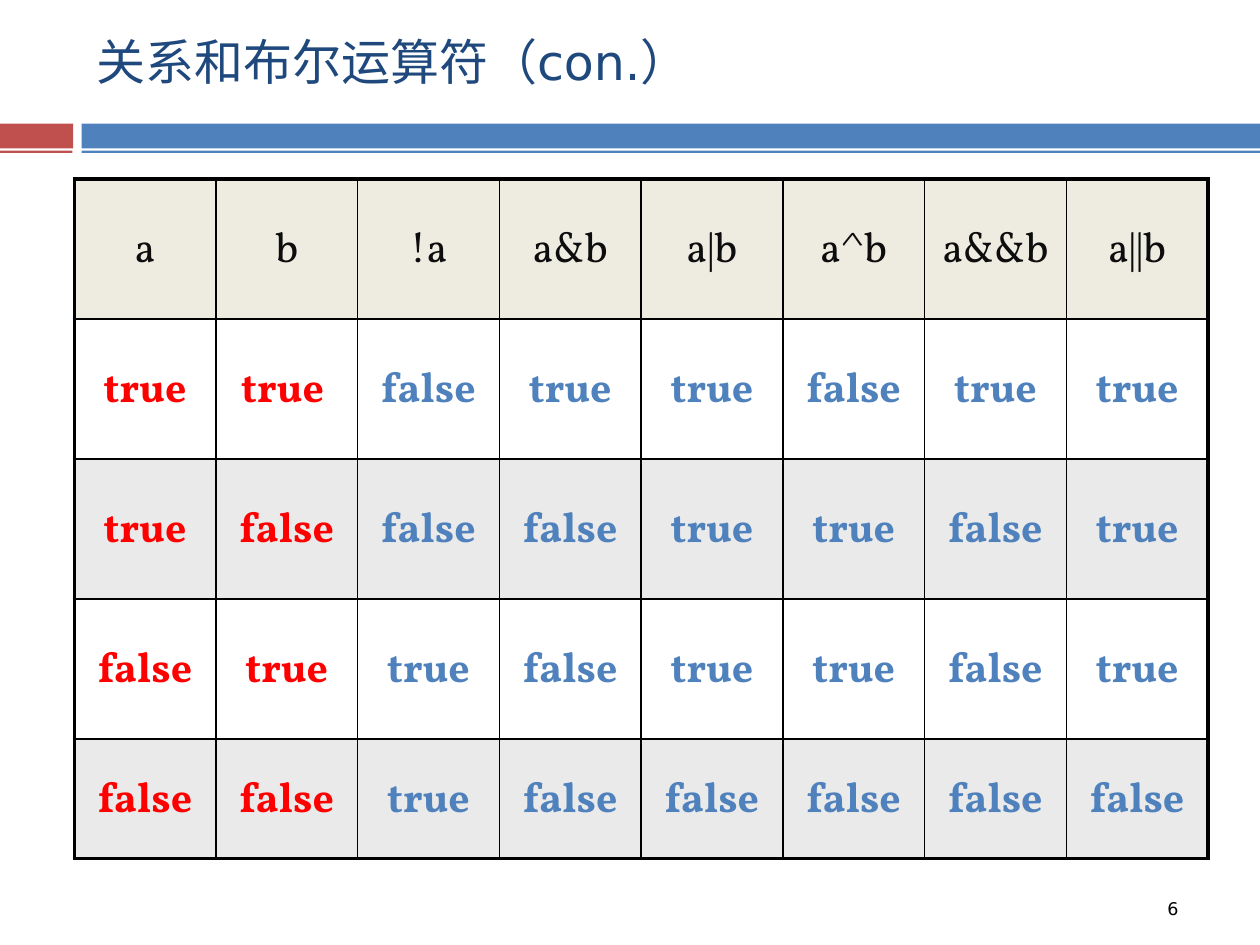
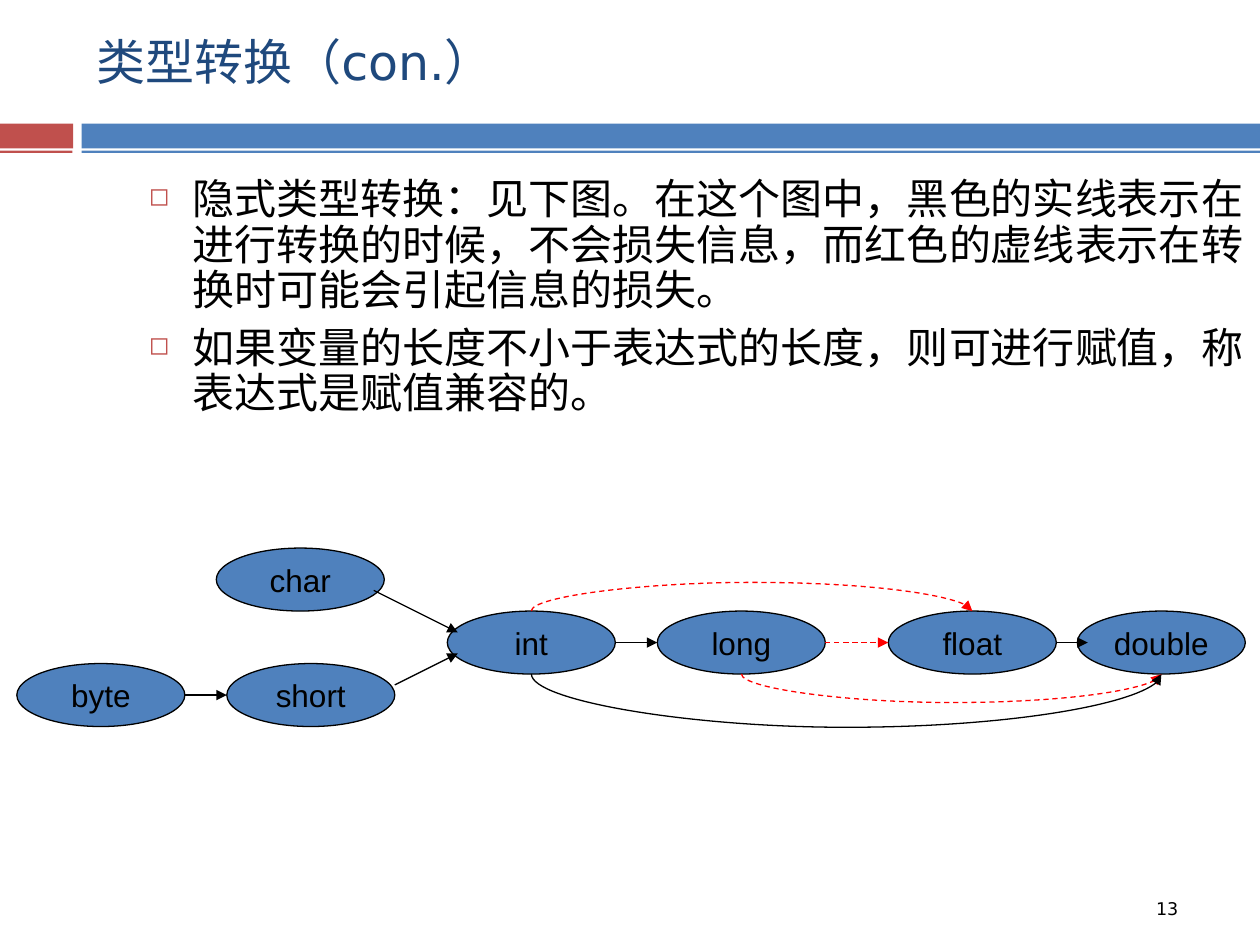
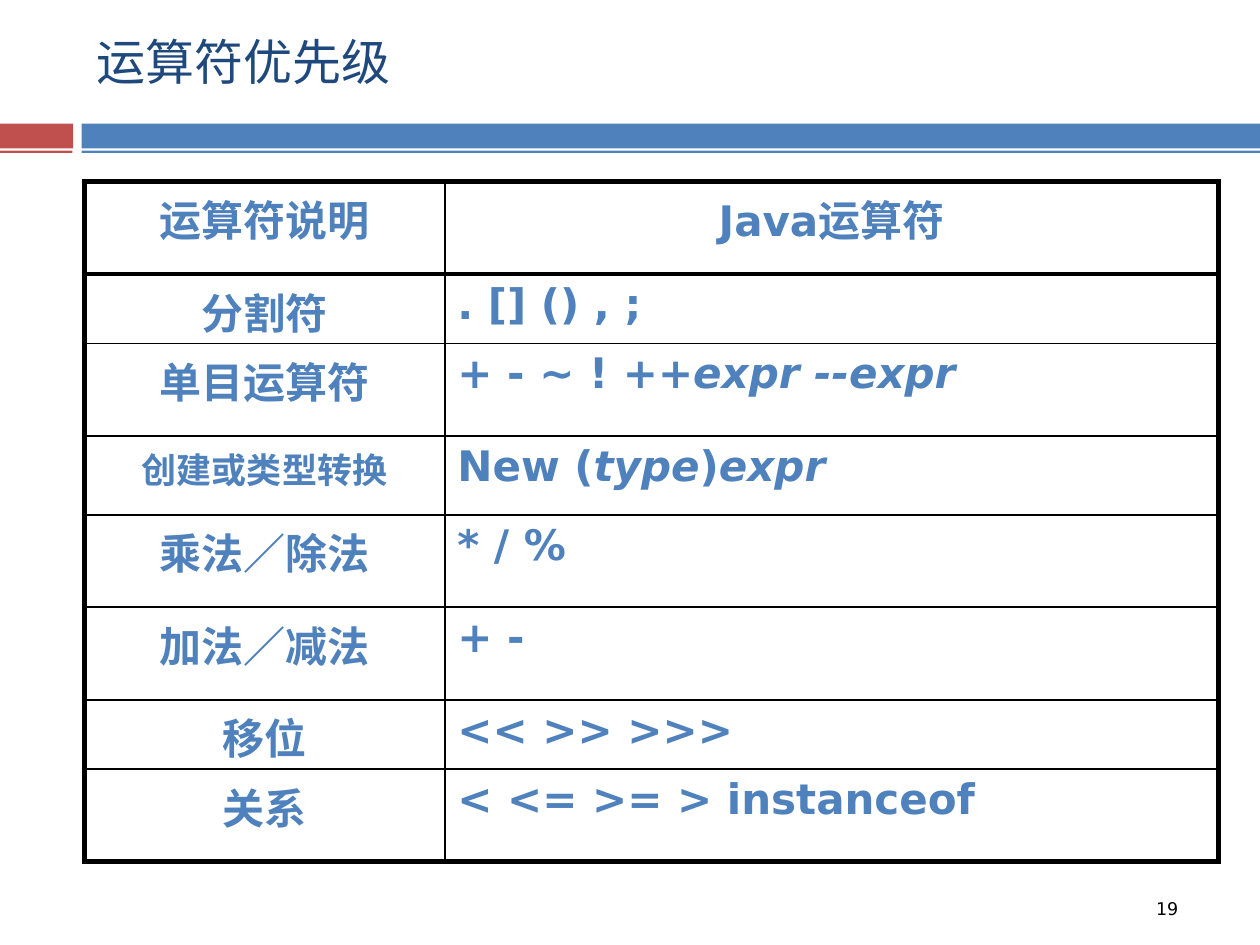
from dataclasses import dataclass
from lxml.etree import SubElement
from pptx import Presentation
from pptx.dml.color import RGBColor
from pptx.enum.dml import MSO_LINE
from pptx.enum.shapes import MSO_CONNECTOR, MSO_SHAPE
from pptx.enum.text import MSO_ANCHOR, PP_ALIGN
from pptx.oxml.ns import qn
from pptx.util import Pt

BLACK, RED, BLUE, BRICK = "000000", "FF0000", "4F81BD", "C0504D"
NAVY, INK, CREAM, GREY = "1F497D", "0D0D0D", "EEECE1", "EAEAEA"
SANS, SERIF, ARIAL = "DejaVu Sans", "Vollkorn", "Arial"
PAGE_WIDTH, PAGE_HEIGHT = 720, 540
NODE_WIDTH, NODE_HEIGHT = 96, 36
CURVE_THICKNESS = 0.125
TOP_SITE, BOTTOM_SITE = 0, 4


@dataclass(frozen=True)
class Style:
    font: str
    size: float
    color: str
    bold: bool = False
    italic: bool = False


@dataclass(frozen=True)
class Band:
    left: float
    top: float
    width: float
    height: float
    color: str


@dataclass(frozen=True)
class Node:
    name: str
    left: float
    top: float


@dataclass(frozen=True)
class Arrow:
    start: tuple[float, float]
    end: tuple[float, float]
    color: str = BLACK
    dashed: bool = False


@dataclass(frozen=True)
class Curve:
    start: str
    end: str
    site: int
    reach: float
    color: str = BLACK
    dashed: bool = False


BANDS = [
    Band(0, 70.6, 41.8, 14.2, BRICK),
    Band(46.6, 70.6, 673.4, 14.2, BLUE),
    Band(-0.4, 86, 41.8, 1.4, BRICK),
    Band(46.6, 86, 673.4, 1.4, BLUE),
]
TITLE = Style(SANS, 28, NAVY)
FOOTER = Style(SANS, 10, BLACK)
BODY = Style(SANS, 24, BLACK)
NODE_LABEL = Style(ARIAL, 18, BLACK)
TRUTH_HEADER = Style(SERIF, 24, INK)
TRUTH_INPUT = Style(SERIF, 24, RED, bold=True)
TRUTH_RESULT = Style(SERIF, 24, BLUE, bold=True)
OPERATOR = Style(SANS, 24, BLUE, bold=True)
OPERATOR_SMALL = Style(SANS, 20, BLUE, bold=True)
OPERATOR_ITALIC = Style(SANS, 24, BLUE, bold=True, italic=True)

TRUTH_ROWS = [
    ["a", "b", "!a", "a&b", "a|b", "a^b", "a&&b", "a||b"],
    ["true", "true ", "false", "true", "true", "false", "true", "true"],
    ["true", "false", "false", "false", "true", "true", "false", "true"],
    ["false", "true", "true", "false", "true", "true", "false", "true"],
    ["false", "false", "true", "false", "false", "false", "false", "false"],
]
TRUTH_HEIGHTS = [80, 80, 80, 80, 68.4]

OPERATOR_ROWS = [
    ("运算符说明", [("Java运算符", OPERATOR)]),
    ("分割符", [(". [] () , ;", OPERATOR)]),
    ("单目运算符", [("+ - ~ ! ++", OPERATOR), ("expr --expr", OPERATOR_ITALIC)]),
    ("创建或类型转换", [("New (", OPERATOR), ("type", OPERATOR_ITALIC),
                 (")", OPERATOR), ("expr", OPERATOR_ITALIC)]),
    ("乘法／除法", [("* / %", OPERATOR)]),
    ("加法／减法", [("+ -", OPERATOR)]),
    ("移位", [("<< >> >>>", OPERATOR)]),
    ("关系", [("< <= >= > instanceof", OPERATOR)]),
]
OPERATOR_HEIGHTS = [52.8, 39.6, 53, 45, 52.8, 53, 39.6, 52.8]

BODY_TEXTS = [
    "隐式类型转换：见下图。在这个图中，黑色的实线表示在进行转换的时候，不会损失信息，"
    "而红色的虚线表示在转换时可能会引起信息的损失。",
    "如果变量的长度不小于表达式的长度，则可进行赋值，称表达式是赋值兼容的。",
]

NODES = [
    Node("byte", 9.6, 379.2),
    Node("short", 129.6, 379.2),
    Node("char", 123.6, 313.2),
    Node("int", 255.6, 349.2),
    Node("long", 375.6, 349.2),
    Node("float", 507.6, 349.2),
    Node("double", 615.6, 349.2),
]
ARROWS = [
    Arrow((105.6, 397.2), (129.6, 397.2)),
    Arrow((213.6, 337.4), (261.6, 361.4)),
    Arrow((225.6, 391.4), (261.6, 373.4)),
    Arrow((351.6, 367.2), (375.6, 367.2)),
    Arrow((471.6, 367.2), (507.6, 367.2), RED, True),
    Arrow((603.6, 367.2), (621.6, 367.2)),
]
CURVES = [
    Curve("int", "float", TOP_SITE, -18, RED, True),
    Curve("long", "double", BOTTOM_SITE, 18, RED, True),
    Curve("int", "double", BOTTOM_SITE, 33.6),
]


def rgb(code: str) -> RGBColor:
    return RGBColor.from_string(code)


def add_span(para, text: str, style: Style) -> None:
    span = para.add_run()
    span.text = text
    font = span.font
    font.name, font.size = style.font, Pt(style.size)
    font.bold, font.italic = style.bold, style.italic
    font.color.rgb = rgb(style.color)


def add_box(page, left: float, top: float, width: float, height: float, wrap: bool = True):
    box = page.shapes.add_textbox(Pt(left), Pt(top), Pt(width), Pt(height))
    box.text_frame.word_wrap = wrap
    return box.text_frame


def add_page(deck, title: str, number: int):
    page = deck.slides.add_slide(deck.slide_layouts[6])
    for band in BANDS:
        bar = page.shapes.add_shape(MSO_SHAPE.RECTANGLE, Pt(band.left), Pt(band.top),
                                    Pt(band.width), Pt(band.height))
        bar.shadow.inherit = False
        bar.fill.solid()
        bar.fill.fore_color.rgb = rgb(band.color)
        bar.line.fill.background()
    frame = add_box(page, 48.2, 0.6, 642, 68)
    frame.vertical_anchor = MSO_ANCHOR.MIDDLE
    add_span(frame.paragraphs[0], title, TITLE)
    width = 24 if number < 10 else 30.4
    frame = add_box(page, 684 - width, 509.8, width, 26.6, wrap=False)
    add_span(frame.paragraphs[0], str(number), FOOTER)
    return page


def set_borders(cell, widths: dict[str, float]) -> None:
    properties = cell._tc.get_or_add_tcPr()
    for side, width in widths.items():
        line = SubElement(properties, qn(f"a:ln{side}"), w=str(int(Pt(width))))
        fill = SubElement(line, qn("a:solidFill"))
        SubElement(fill, qn("a:srgbClr"), val=BLACK)


def add_grid(page, left: float, top: float, widths: list[float], heights: list[float],
             outer: float, header: float):
    frame = page.shapes.add_table(len(heights), len(widths), Pt(left), Pt(top),
                                  Pt(sum(widths)), Pt(sum(heights)))
    table = frame.table
    table.first_row = table.horz_banding = False
    for column, width in zip(table.columns, widths):
        column.width = Pt(width)
    last_row, last_column = len(heights) - 1, len(widths) - 1
    for r, height in enumerate(heights):
        table.rows[r].height = Pt(height)
        for c in range(len(widths)):
            cell = table.cell(r, c)
            set_borders(cell, {
                "L": outer if c == 0 else 1,
                "R": outer if c == last_column else 1,
                "T": outer if r == 0 else header if r == 1 else 1,
                "B": outer if r == last_row else header if r == 0 else 1,
            })
            cell.fill.background()
    return table


def add_truth_table(page) -> None:
    table = add_grid(page, 42.4, 102.2, [81] * 8, TRUTH_HEIGHTS, 2.25, 1)
    for r, row in enumerate(TRUTH_ROWS):
        for c, text in enumerate(row):
            cell = table.cell(r, c)
            cell.vertical_anchor = MSO_ANCHOR.MIDDLE
            cell.margin_left = cell.margin_right = Pt(9)
            cell.margin_top = cell.margin_bottom = Pt(4.5)
            if r % 2 == 0:
                cell.fill.solid()
                cell.fill.fore_color.rgb = rgb(GREY if r else CREAM)
            para = cell.text_frame.paragraphs[0]
            para.alignment = PP_ALIGN.CENTER
            para.line_spacing = 0.9
            style = TRUTH_HEADER if r == 0 else TRUTH_INPUT if c < 2 else TRUTH_RESULT
            add_span(para, text, style)


def add_operator_table(page) -> None:
    table = add_grid(page, 48.2, 103.8, [206, 442], OPERATOR_HEIGHTS, 3, 2.25)
    for r, (name, spans) in enumerate(OPERATOR_ROWS):
        para = table.cell(r, 0).text_frame.paragraphs[0]
        para.alignment = PP_ALIGN.CENTER
        add_span(para, name, OPERATOR_SMALL if len(name) > 6 else OPERATOR)
        para = table.cell(r, 1).text_frame.paragraphs[0]
        para.alignment = PP_ALIGN.LEFT if r else PP_ALIGN.CENTER
        for text, style in spans:
            add_span(para, text, style)


def add_bullets(page, texts: list[str]) -> None:
    frame = add_box(page, 78, 98.6, 642, 382.4)
    for index, text in enumerate(texts):
        para = frame.add_paragraph() if index else frame.paragraphs[0]
        para.line_spacing = 0.9
        para.space_before = Pt(7)
        properties = para._p.get_or_add_pPr()
        properties.set("marL", str(int(Pt(25.2))))
        properties.set("indent", str(int(Pt(-25.2))))
        color = SubElement(properties, qn("a:buClr"))
        SubElement(color, qn("a:srgbClr"), val=BRICK)
        SubElement(properties, qn("a:buSzPct"), val="60000")
        SubElement(properties, qn("a:buChar"), char="◻")
        add_span(para, text, BODY)


def add_node(page, node: Node):
    oval = page.shapes.add_shape(MSO_SHAPE.OVAL, Pt(node.left), Pt(node.top),
                                 Pt(NODE_WIDTH), Pt(NODE_HEIGHT))
    oval.shadow.inherit = False
    oval.fill.solid()
    oval.fill.fore_color.rgb = rgb(BLUE)
    oval.line.color.rgb = rgb(BLACK)
    oval.line.width = Pt(0.75)
    frame = oval.text_frame
    frame.word_wrap = False
    frame.vertical_anchor = MSO_ANCHOR.MIDDLE
    para = frame.paragraphs[0]
    para.alignment = PP_ALIGN.CENTER
    add_span(para, node.name, NODE_LABEL)
    return oval


def style_connector(connector, color: str, dashed: bool) -> None:
    line = connector.line
    line.color.rgb = rgb(color)
    line.width = Pt(0.75)
    if dashed:
        line.dash_style = MSO_LINE.DASH
    SubElement(line._get_or_add_ln(), qn("a:tailEnd"), type="triangle")
    SubElement(connector._element.spPr, qn("a:effectLst"))


def add_arrow(page, arrow: Arrow) -> None:
    points = [Pt(value) for value in arrow.start + arrow.end]
    connector = page.shapes.add_connector(MSO_CONNECTOR.STRAIGHT, *points)
    style_connector(connector, arrow.color, arrow.dashed)


def add_curve(page, curve: Curve, ovals: dict) -> None:
    connector = page.shapes.add_connector(MSO_CONNECTOR.CURVE, 0, 0, 0, 0)
    start, end = ovals[curve.start], ovals[curve.end]
    joints = connector._element.nvCxnSpPr.cNvCxnSpPr
    for tag, oval in (("a:stCxn", start), ("a:endCxn", end)):
        SubElement(joints, qn(tag), id=str(oval.shape_id), idx=str(curve.site))
    upward = curve.reach < 0
    span = end.left - start.left
    level = start.top if upward else start.top + start.height
    properties = connector._element.spPr
    frame = properties.find(qn("a:xfrm"))
    frame.set("rot", "5400000" if upward else "16200000")
    frame.set("flipV" if upward else "flipH", "1")
    connector.left = start.left + start.width // 2 + span // 2
    connector.top = level - span // 2
    connector.width, connector.height = Pt(CURVE_THICKNESS), span
    guides = properties.find(qn("a:prstGeom")).find(qn("a:avLst"))
    bend = round(abs(curve.reach) / CURVE_THICKNESS * 100000)
    SubElement(guides, qn("a:gd"), name="adj1", fmla=f"val {-bend if upward else bend}")
    style_connector(connector, curve.color, curve.dashed)


def add_conversion_diagram(page) -> None:
    ovals = {node.name: add_node(page, node) for node in NODES}
    for arrow in ARROWS:
        add_arrow(page, arrow)
    for curve in CURVES:
        add_curve(page, curve, ovals)


def main() -> None:
    deck = Presentation()
    deck.slide_width, deck.slide_height = Pt(PAGE_WIDTH), Pt(PAGE_HEIGHT)
    add_truth_table(add_page(deck, "关系和布尔运算符（con.）", 6))
    page = add_page(deck, "类型转换（con.）", 13)
    add_bullets(page, BODY_TEXTS)
    add_conversion_diagram(page)
    add_operator_table(add_page(deck, "运算符优先级", 19))
    deck.save("out.pptx")


main()
